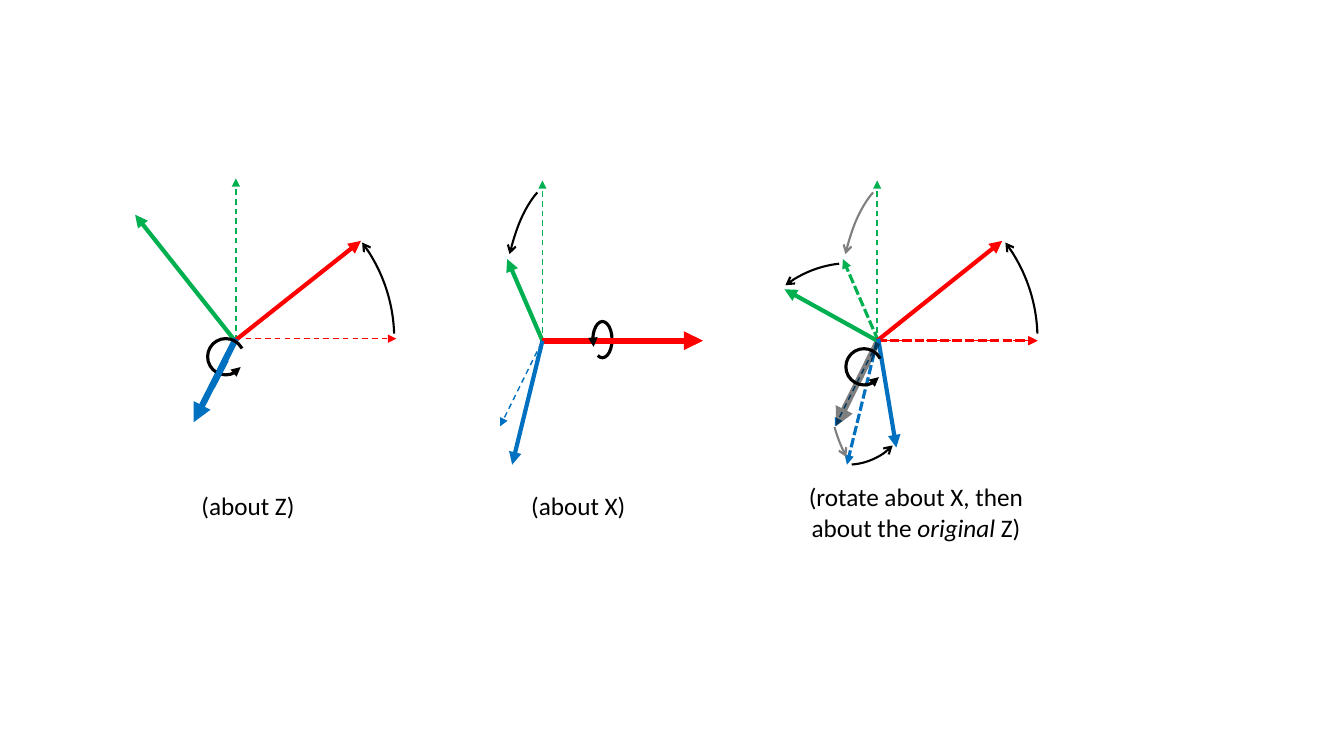
from lxml.etree import SubElement as Sub
from pptx import Presentation
from pptx.dml.color import RGBColor
from pptx.enum.dml import MSO_LINE as Dash
from pptx.enum.shapes import MSO_CONNECTOR as Conn, MSO_SHAPE as Shape
from pptx.enum.text import MSO_AUTO_SIZE as Fit, PP_ALIGN as Align
from pptx.oxml.ns import qn
from pptx.util import Pt

PX = 9144
SIZE = (1333, 750)
FONT = "Calibri"
RED = RGBColor(0xFF, 0x00, 0x00)
GREEN = RGBColor(0x00, 0xB0, 0x50)
BLUE = RGBColor(0x00, 0x70, 0xC0)
BLACK = RGBColor(0x00, 0x00, 0x00)
GRAY = RGBColor(0x80, 0x80, 0x80)

# style: width in points, dash, arrowhead, opacity in percent
STYLES = {
    "ghost": (1, Dash.DASH, "triangle", 100),
    "step": (2.25, Dash.SQUARE_DOT, "triangle", 100),
    "axis": (3, None, "triangle", 100),
    "pivot": (4.5, None, "triangle", 100),
    "cover": (4.5, None, None, 100),
    "veil": (4.5, None, "triangle", 50),
    "sweep": (1.5, None, "arrow", 100),
    "spin": (2.25, None, "triangle", 100),
}

# ray: style, colour, start x, start y, end x, end y
BACK = [
    ("step", GREEN, 871, 338, 836, 257),
    ("ghost", BLUE, 537, 340, 496, 423),
    ("ghost", GREEN, 234, 338, 234, 177),
    ("ghost", RED, 234, 336, 393, 336),
    ("axis", GREEN, 233, 338, 134, 213),
    ("axis", RED, 233, 338, 358, 239),
    ("pivot", BLUE, 234, 336, 192, 419),
    ("ghost", GREEN, 538, 340, 538, 179),
    ("ghost", RED, 538, 338, 697, 338),
    ("axis", GREEN, 538, 338, 503, 257),
    ("pivot", RED, 538, 338, 697, 338),
    ("axis", BLUE, 538, 338, 508, 461),
    ("ghost", BLUE, 870, 340, 828, 423),
    ("ghost", GREEN, 870, 340, 870, 179),
    ("ghost", RED, 870, 338, 1029, 338),
    ("step", RED, 870, 338, 1029, 338),
    ("step", BLUE, 870, 338, 840, 461),
    ("axis", GREEN, 870, 338, 778, 287),
    ("axis", RED, 870, 338, 994, 239),
    ("axis", BLUE, 871, 336, 889, 444),
]
FRONT = [
    ("cover", RED, 597, 338, 613, 338),
    ("cover", BLUE, 210, 384, 224, 357),
    ("veil", BLACK, 870, 340, 829, 423),
]

# arc: style, colour, box, turn, first and last angle in degrees
ARCS = [
    ("sweep", BLACK, (73, 177, 318, 318), 0, 323.13, 358.2),
    ("sweep", BLACK, (398, 276, 318, 122), 270, 328.71, 350.64),
    ("sweep", BLACK, (711, 177, 318, 318), 0, 323.13, 358.2),
    ("spin", BLACK, (588, 319, 19, 36), 0, 140.48, 106.36),
    ("spin", BLACK, (206, 336, 36, 36), 0, 34.66, 333.06),
    ("spin", BLACK, (839, 346, 36, 36), 0, 34.66, 333.06),
    ("sweep", GRAY, (722, 264, 318, 132), 270, 198.64, 209.69),
    ("sweep", BLACK, (737, 261, 214, 214), 0, 232.59, 263.74),
    ("sweep", GRAY, (731, 276, 318, 122), 270, 328.71, 350.64),
    ("sweep", BLACK, (778, 336, 125, 125), 0, 44.09, 86.06),
]

# label: box, alignment, lines made of (text, italic) runs
LABELS = [
    ((771, 473, 275, 71), Align.CENTER, [
        [("(rotate about X, then", False)],
        [("about the ", False), ("original", True), (" Z)", False)],
    ]),
    ((517, 482, 140, 40), Align.LEFT, [[("(about X)", False)]]),
    ((190, 482, 140, 40), Align.LEFT, [[("(about Z)", False)]]),
]


def emu(box):
    """Turn px lengths into EMU."""
    return [n * PX for n in box]


def stroke(shape, style, color, end):
    """Style an outline and put the arrowhead at the given end."""
    width, dash, head, alpha = STYLES[style]
    line = shape.line
    line.width = Pt(width)
    line.color.rgb = color
    if dash:
        line.dash_style = dash
    props = shape.element.spPr
    ln = props.find(qn("a:ln"))
    if alpha < 100:
        tint = ln.find(".//" + qn("a:srgbClr"))
        Sub(tint, qn("a:alpha"), val=str(alpha * 1000))
    if head:
        Sub(ln, qn(end), type=head)
    Sub(props, qn("a:effectLst"))


def draw_rays(shapes, rays):
    """Draw straight arrows."""
    for style, color, *ends in rays:
        ray = shapes.add_connector(Conn.STRAIGHT, *emu(ends))
        stroke(ray, style, color, "a:tailEnd")


def draw_arcs(shapes):
    """Draw the curved turning arrows."""
    for style, color, box, turn, first, last in ARCS:
        arc = shapes.add_shape(Shape.ARC, *emu(box))
        arc.rotation = turn
        arc.adjustments[0] = first * 0.6
        arc.adjustments[1] = last * 0.6
        arc.fill.background()
        stroke(arc, style, color, "a:headEnd")


def draw_labels(shapes):
    """Write the captions."""
    for box, align, lines in LABELS:
        frame = shapes.add_textbox(*emu(box)).text_frame
        frame.word_wrap = True
        frame.auto_size = Fit.SHAPE_TO_FIT_TEXT
        for i, runs in enumerate(lines):
            para = frame.add_paragraph() if i else frame.paragraphs[0]
            para.alignment = align
            for text, slant in runs:
                run = para.add_run()
                run.text = text
                run.font.name = FONT
                run.font.size = Pt(18)
                run.font.italic = slant
                run.font.color.rgb = BLACK


def main():
    """Build the slide of rotated axes."""
    deck = Presentation()
    deck.slide_width, deck.slide_height = emu(SIZE)
    shapes = deck.slides.add_slide(deck.slide_layouts[6]).shapes
    draw_rays(shapes, BACK)
    draw_arcs(shapes)
    draw_rays(shapes, FRONT)
    draw_labels(shapes)
    deck.save("out.pptx")


if __name__ == "__main__":
    main()
